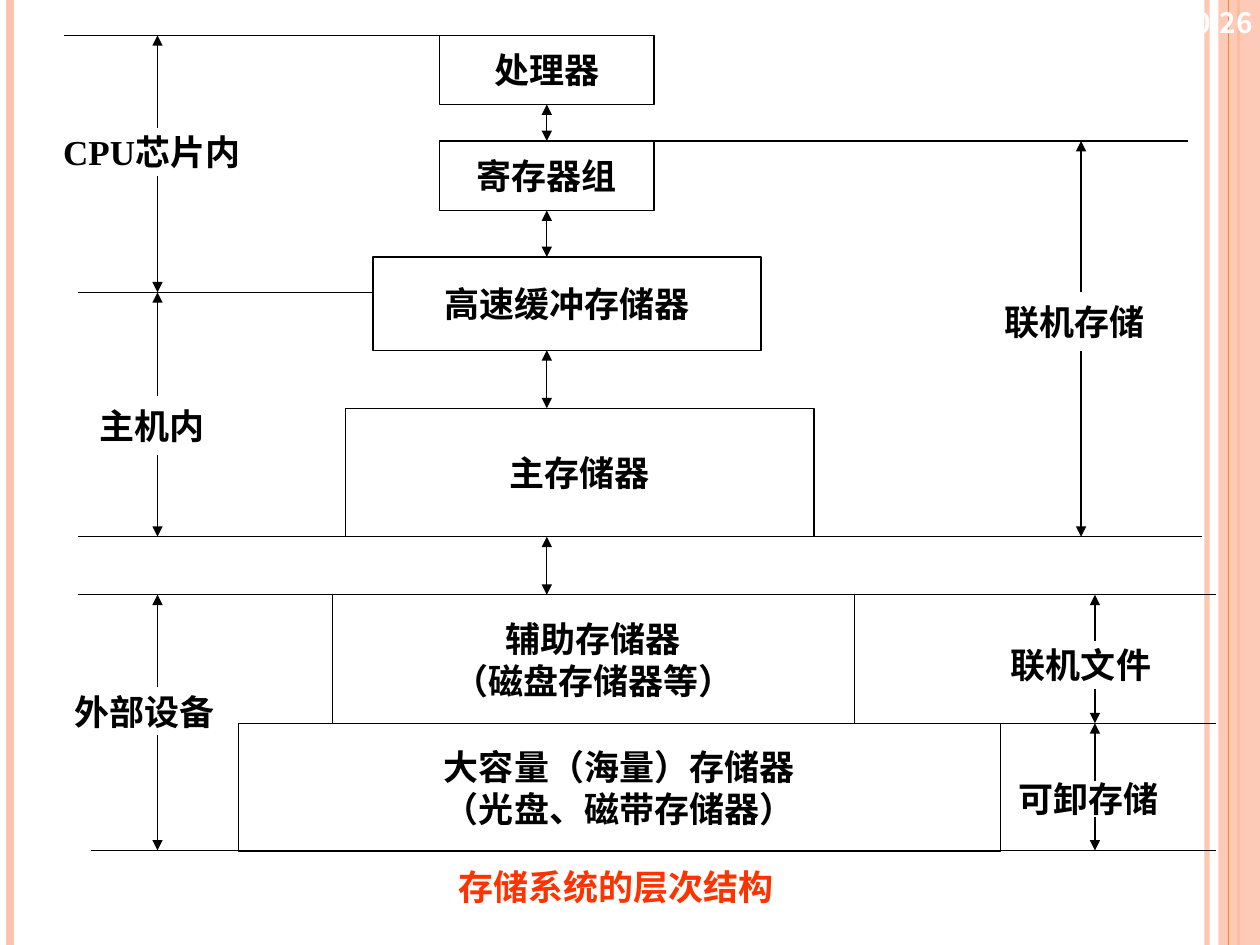
"""Build a slide showing the layers of a computer storage system."""
from dataclasses import dataclass

import pptx
import pptx.dml.color
import pptx.enum.shapes
import pptx.enum.text
import pptx.oxml
import pptx.oxml.ns
import pptx.util
from pptx.util import Inches


@dataclass(frozen=True)
class Theme:
    ink: str = "000000"
    paper: str = "FFFFFF"
    caption: str = "FF3300"
    peach: str = "FEC3AE"
    orange: str = "FE8637"
    font: str = "Times New Roman"
    clock_font: str = "Noto Sans CJK SC"
    size: int = 20
    clock_size: int = 16
    thin: float = 0.75


THEME = Theme()

CHIP_TOP, REGISTER_TOP, CACHE_MID = 0.28, 1.12, 2.32
HOST_END, DISK_TOP, MASS_TOP, MASS_END = 4.26, 4.72, 5.74, 6.75
LEFT_X, MID_X, ONLINE_X, FILE_X = 1.25, 4.34, 8.58, 8.69

BOXES = [
    ("处理器", 3.49, CHIP_TOP, 1.7, 0.55),
    ("寄存器组", 3.49, REGISTER_TOP, 1.7, 0.55),
    ("高速缓冲存储器", 2.96, 2.04, 3.08, 0.74),
    ("主存储器", 2.74, 3.24, 3.72, 1.02),
    ("辅助存储器\n（磁盘存储器等）", 2.64, DISK_TOP, 4.14, 1.02),
    ("大容量（海量）存储器\n（光盘、磁带存储器）", 1.89, MASS_TOP, 6.05, 1.02),
]
LABELS = [
    ("CPU芯片内", 0.62, 1.02, 1.17, 0.37),
    ("主机内", 0.62, 3.15, 1.17, 0.46),
    ("外部设备", 0.62, 5.46, 1.06, 0.37),
    ("联机存储", 7.84, 2.32, 1.38, 0.46),
    ("联机文件", 8.05, 5.09, 1.06, 0.37),
    ("可卸存储", 8.16, 6.2, 0.96, 0.28),
]
BOUNDARIES = [
    (0.51, 3.49, CHIP_TOP),
    (0.62, 2.96, CACHE_MID),
    (0.62, 9.54, HOST_END),
    (0.62, 9.65, DISK_TOP),
    (0.72, 9.65, MASS_END),
    (5.18, 9.43, REGISTER_TOP),
    (6.78, 9.65, MASS_TOP),
]
SPANS = [
    (LEFT_X, CHIP_TOP, CACHE_MID),
    (LEFT_X, CACHE_MID, HOST_END),
    (LEFT_X, DISK_TOP, MASS_END),
    (ONLINE_X, REGISTER_TOP, HOST_END),
    (FILE_X, DISK_TOP, MASS_TOP),
    (FILE_X, MASS_TOP, MASS_END),
]
RULES = [(9.58, THEME.peach, 3, 93), (0.08, THEME.peach, 4.5, 100),
         (9.83, THEME.orange, 1.5, 100)]


def rgb(value):
    """Return a colour object for a hex string."""
    return pptx.dml.color.RGBColor.from_string(value)


def set_alpha(element, percent):
    """Set the opacity of the first solid colour inside an element."""
    color = next(element.iter(pptx.oxml.ns.qn("a:srgbClr")))
    alpha = pptx.oxml.parse_xml(
        f'<a:alpha {pptx.oxml.ns.nsdecls("a")} val="{percent * 1000}"/>')
    color.append(alpha)


def add_line(slide, x1, y1, x2, y2, color=THEME.ink, width=THEME.thin,
             arrows=False, alpha=100):
    """Add a straight line, with arrowheads at both ends if asked."""
    line = slide.shapes.add_connector(
        pptx.enum.shapes.MSO_CONNECTOR.STRAIGHT,
        Inches(x1), Inches(y1), Inches(x2), Inches(y2))
    line.line.color.rgb = rgb(color)
    line.line.width = pptx.util.Pt(width)
    sp_pr = line._element.spPr
    ns = pptx.oxml.ns.nsdecls("a")
    if alpha < 100:
        set_alpha(sp_pr, alpha)
    if arrows:
        for end in ("headEnd", "tailEnd"):
            sp_pr.find(pptx.oxml.ns.qn("a:ln")).append(
                pptx.oxml.parse_xml(f'<a:{end} {ns} type="triangle"/>'))
    sp_pr.append(pptx.oxml.parse_xml(f"<a:effectLst {ns}/>"))


def write(shape, text, color=THEME.ink, font=THEME.font, size=THEME.size,
          align=pptx.enum.text.PP_ALIGN.CENTER, wrap=False):
    """Write bold, vertically centred text into a shape."""
    tf = shape.text_frame
    tf.text = text
    tf.word_wrap = wrap
    tf.vertical_anchor = pptx.enum.text.MSO_ANCHOR.MIDDLE
    for p in tf.paragraphs:
        p.alignment = align
        p.font.name = font
        p.font.size = pptx.util.Pt(size)
        p.font.bold = True
        p.font.color.rgb = rgb(color)


def add_rect(slide, x, y, w, h, fill=THEME.paper, outline=None):
    """Add a flat rectangle."""
    sp = slide.shapes.add_shape(
        pptx.enum.shapes.MSO_SHAPE.RECTANGLE,
        Inches(x), Inches(y), Inches(w), Inches(h))
    sp.shadow.inherit = False
    sp.fill.solid()
    sp.fill.fore_color.rgb = rgb(fill)
    if outline:
        sp.line.color.rgb = rgb(outline)
        sp.line.width = pptx.util.Pt(THEME.thin)
    else:
        sp.line.fill.background()
    return sp


def add_frame(slide):
    """Add the coloured strips at the slide edges."""
    for x, color, width, alpha in RULES:
        add_line(slide, x, 0, x, 7.5, color, width, alpha=alpha)
    band = add_rect(slide, 9.67, 0, 0.33, 7.5, THEME.peach)
    set_alpha(band._element.spPr, 87)
    add_line(slide, 9.75, 0, 9.75, 7.5, THEME.orange)


def add_caption(slide, text):
    """Place the slide title below the diagram."""
    title = slide.shapes.title
    title.left, title.top = Inches(2.34), Inches(6.85)
    title.width, title.height = Inches(5.1), Inches(0.37)
    write(title, text, THEME.caption)


def add_clock(slide, text):
    """Add the time in the top right corner."""
    sp = slide.shapes.add_textbox(
        Inches(9.17), Inches(-0.03), Inches(0.87), Inches(0.42))
    write(sp, text, THEME.paper, THEME.clock_font, THEME.clock_size,
          pptx.enum.text.PP_ALIGN.RIGHT, wrap=True)


def main():
    """Build and save the slide."""
    prs = pptx.Presentation()
    prs.slide_width, prs.slide_height = Inches(10), Inches(7.5)
    slide = prs.slides.add_slide(prs.slide_layouts[5])
    add_frame(slide)
    add_caption(slide, "存储系统的层次结构")
    for text, *place in BOXES:
        write(add_rect(slide, *place, outline=THEME.ink), text)
    for x1, x2, y in BOUNDARIES:
        add_line(slide, x1, y, x2, y)
    for x, y1, y2 in SPANS:
        add_line(slide, x, y1, x, y2, arrows=True)
    for text, *place in LABELS:
        write(add_rect(slide, *place, outline=THEME.paper), text)
    for upper, lower in zip(BOXES[:4], BOXES[1:5]):
        add_line(slide, MID_X, upper[2] + upper[4], MID_X, lower[2], arrows=True)
    add_clock(slide, "10:26")
    prs.save("out.pptx")


main()
